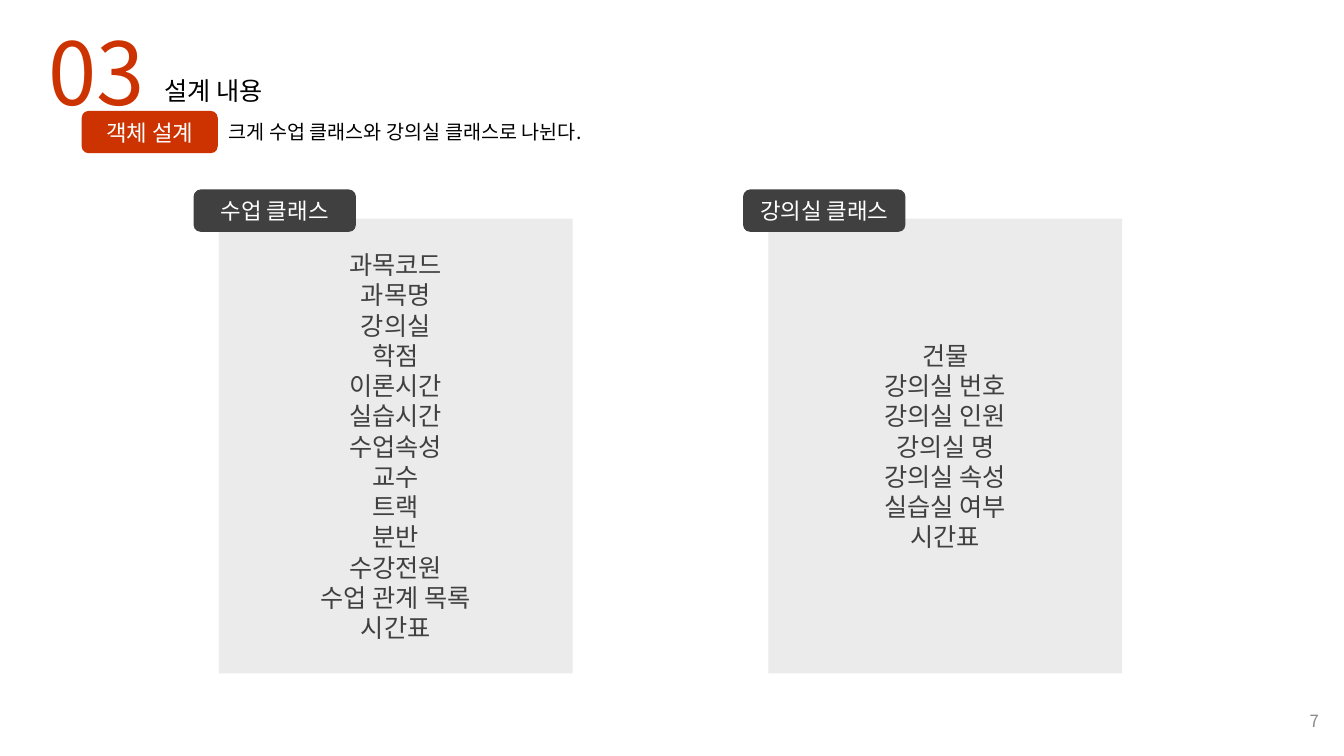
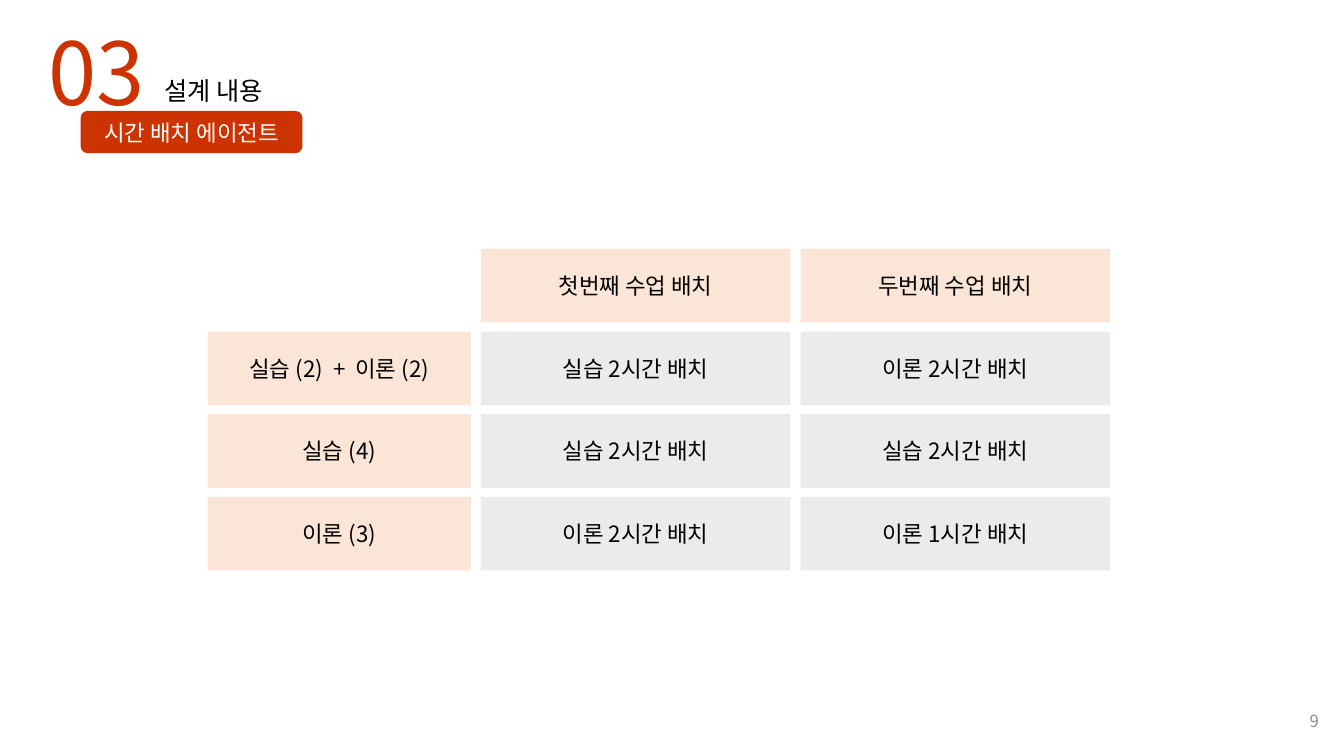
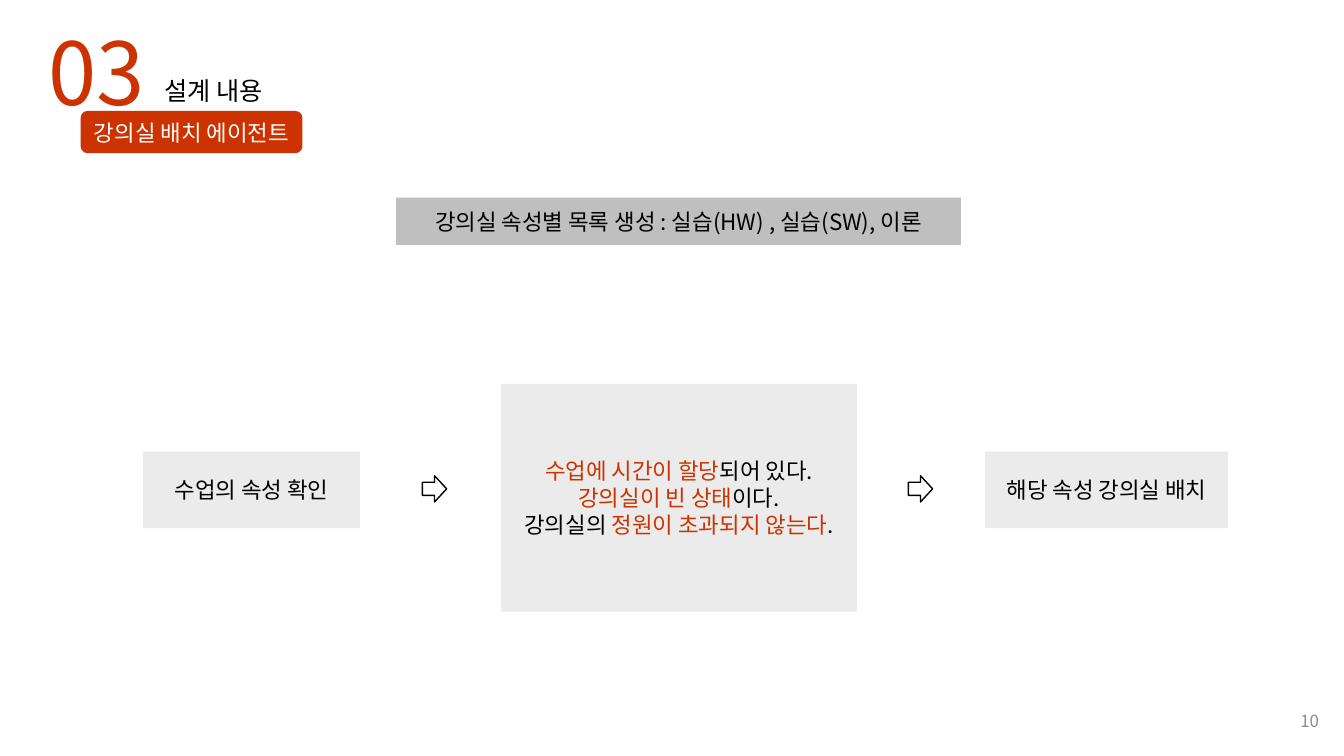
from lxml.etree import SubElement
from pptx import Presentation
from pptx.dml.color import RGBColor
from pptx.enum.shapes import MSO_SHAPE
from pptx.enum.text import MSO_ANCHOR, MSO_AUTO_SIZE, PP_ALIGN
from pptx.oxml.ns import qn
from pptx.util import Inches, Pt

FONT = "Noto Sans CJK KR"
RED, BLACK, WHITE = "CC3300", "000000", "FFFFFF"
DARK, PALE, PEACH = "404040", "EBEBEB", "FBE5D6"
SILVER, MUTED = "BFBFBF", "8C8C8C"


def rgb(hex_code):
    """Turn a hex string into a colour."""
    return RGBColor.from_string(hex_code)


def write(frame, lines, size=16, color=BLACK, align=PP_ALIGN.CENTER,
          anchor=MSO_ANCHOR.MIDDLE, spacing=None):
    """Fill a text frame; a line is a string or a list of (text, colour) runs."""
    frame.word_wrap = True
    frame.vertical_anchor = anchor
    for index, line in enumerate(lines):
        paragraph = frame.paragraphs[0] if index == 0 else frame.add_paragraph()
        paragraph.alignment = align
        if spacing:
            paragraph.line_spacing = spacing
        for words, run_color in [(line, color)] if isinstance(line, str) else line:
            run = paragraph.add_run()
            run.text = words
            run.font.size = Pt(size)
            run.font.color.rgb = rgb(run_color)
            run.font.name = FONT
            SubElement(run.font._element, qn("a:ea"), typeface=FONT)


def label(slide, box, words, grow=True, **style):
    """Place one line of free text in a box."""
    frame = slide.shapes.add_textbox(*map(Inches, box)).text_frame
    write(frame, [words], **style)
    if grow:
        frame.auto_size = MSO_AUTO_SIZE.SHAPE_TO_FIT_TEXT


def panel(slide, box, lines=(), fill=PALE, kind=MSO_SHAPE.RECTANGLE,
          outline=None, **style):
    """Place a filled shape with centred text in a box."""
    shape = slide.shapes.add_shape(kind, *map(Inches, box))
    shape.shadow.inherit = False
    shape.fill.solid()
    shape.fill.fore_color.rgb = rgb(fill)
    if outline:
        shape.line.color.rgb = rgb(outline)
        shape.line.width = Pt(1)
    else:
        shape.line.fill.background()
    write(shape.text_frame, lines, **style)


def pill(slide, box, words, fill):
    """Place a rounded tag with white text."""
    panel(slide, box, [words], fill, MSO_SHAPE.ROUNDED_RECTANGLE, color=WHITE)


def section_slide(deck, number, topic, topic_box=(0.8, 1.1, 2.2, 0.42)):
    """Add a slide with the section heading, topic tag and page number."""
    slide = deck.slides.add_slide(deck.slide_layouts[6])
    label(slide, (10.18, 6.95, 3, 0.4), number, grow=False, size=12,
          color=MUTED, align=PP_ALIGN.RIGHT)
    heading = dict(align=PP_ALIGN.LEFT, anchor=MSO_ANCHOR.TOP)
    label(slide, (1.53, 0.55, 6.33, 0.51), "설계 내용", size=18, spacing=1.5, **heading)
    label(slide, (0.38, 0.14, 1.32, 1.14), "03", size=62, color=RED, **heading)
    pill(slide, topic_box, topic, RED)
    return slide


def class_card(slide, box, title, fields):
    """Place a class card: its fields in the box, its title tag over the corner."""
    left, top, _, _ = box
    panel(slide, box, fields, size=18, color=DARK)
    pill(slide, (left - 0.25, top - 0.29, 1.61, 0.42), title, DARK)


def schedule_grid(slide, left, top, widths, rows, height=0.73,
                  column_gap=0.1, row_gap=0.09):
    """Place a grid of cells whose first row and first column are headings."""
    for row_index, row in enumerate(rows):
        cell_left = left
        cell_top = top + row_index * (height + row_gap)
        for column_index, (words, width) in enumerate(zip(row, widths)):
            is_heading = row_index == 0 or column_index == 0
            if words:
                panel(slide, (cell_left, cell_top, width, height), [words],
                      PEACH if is_heading else PALE)
            cell_left += width + column_gap


def step_flow(slide, middle, steps, arrow_lefts):
    """Place steps (left, width, height, lines) and arrows along one centre line."""
    for left, width, height, lines in steps:
        panel(slide, (left, middle - height / 2, width, height), lines)
    for left in arrow_lefts:
        panel(slide, (left, middle - 0.14, 0.24, 0.26), fill=WHITE,
              kind=MSO_SHAPE.RIGHT_ARROW, outline=BLACK)


def object_design(deck):
    """Build the slide of the two classes."""
    slide = section_slide(deck, "7", "객체 설계", (0.81, 1.1, 1.35, 0.42))
    label(slide, (2.17, 1.14, 3.91, 0.34), "크게 수업 클래스와 강의실 클래스로 나뉜다.",
          size=14, align=PP_ALIGN.LEFT, anchor=MSO_ANCHOR.TOP)
    classes = {
        "수업 클래스": ["과목코드", "과목명", "강의실", "학점", "이론시간", "실습시간", "수업속성",
                   "교수", "트랙", "분반", "수강전원", "수업 관계 목록", "시간표"],
        "강의실 클래스": ["건물", "강의실 번호", "강의실 인원", "강의실 명", "강의실 속성",
                    "실습실 여부", "시간표"],
    }
    for index, (title, fields) in enumerate(classes.items()):
        class_card(slide, (2.17 + index * 5.45, 2.17, 3.51, 4.51), title, fields)


def time_agent(deck):
    """Build the slide of the time placement grid."""
    slide = section_slide(deck, "9", "시간 배치 에이전트")
    schedule_grid(slide, 2.06, 2.47, (2.61, 3.07, 3.07), [
        ("", "첫번째 수업 배치", "두번째 수업 배치"),
        ("실습 (2)  +  이론 (2)", "실습 2시간 배치", "이론 2시간 배치"),
        ("실습 (4)", "실습 2시간 배치", "실습 2시간 배치"),
        ("이론 (3)", "이론 2시간 배치", "이론 1시간 배치"),
    ])


def room_agent(deck):
    """Build the slide of the room placement flow."""
    slide = section_slide(deck, "10", "강의실 배치 에이전트")
    panel(slide, (3.93, 1.96, 5.6, 0.47),
          ["강의실 속성별 목록 생성 : 실습(HW) , 실습(SW), 이론"], SILVER)
    conditions = [
        [("수업에 시간이 할당", RED), ("되어 있다.", BLACK)],
        [("강의실이 빈 상태", RED), ("이다.", BLACK)],
        [("강의실의 ", BLACK), ("정원이 초과되지 않는다", RED), (".", BLACK)],
    ]
    step_flow(slide, 4.86, [
        (1.42, 2.15, 0.76, ["수업의 속성 확인"]),
        (9.77, 2.41, 0.76, ["해당 속성 강의실 배치"]),
    ], (4.19, 9.01))
    panel(slide, (4.97, 3.81, 3.53, 2.26), conditions)


def main():
    """Build and save the deck."""
    deck = Presentation()
    deck.slide_width, deck.slide_height = Inches(13.33), Inches(7.5)
    for build in (object_design, time_agent, room_agent):
        build(deck)
    deck.save("out.pptx")


if __name__ == "__main__":
    main()
